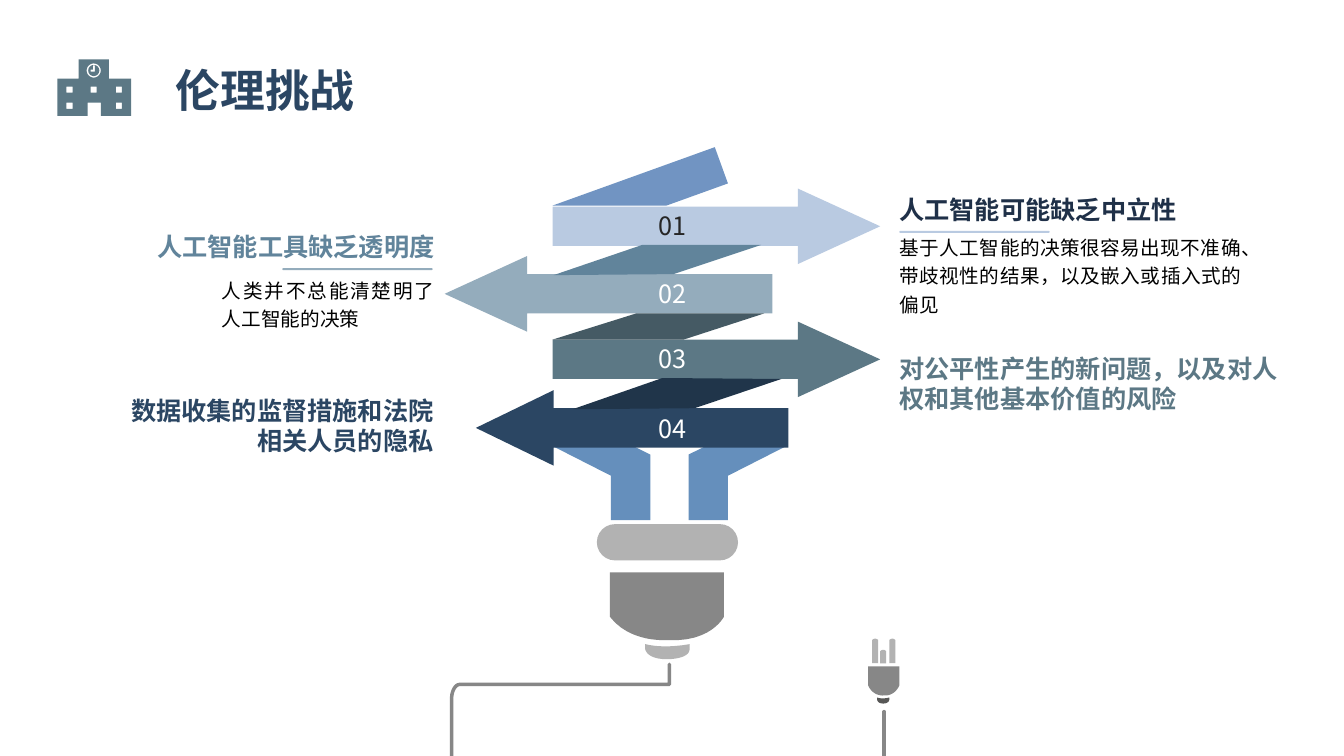
import pptx
import pptx.dml.color
import pptx.enum.shapes
import pptx.enum.text
import pptx.oxml
import pptx.oxml.ns
import pptx.util

Inches = pptx.util.Inches
Shape = pptx.enum.shapes.MSO_SHAPE
Align = pptx.enum.text.PP_ALIGN
Anchor = pptx.enum.text.MSO_ANCHOR

FONT = "Noto Sans CJK SC"
COLORS = {
    "navy": "2B4663", "dark navy": "20354A", "ink": "1F3048",
    "teal": "5C7885", "dark teal": "455A64", "steel": "61849B",
    "mist": "94ACBC", "ice": "B9CAE1", "blue": "7194C2", "leg": "658FBC",
    "silver": "B2B2B2", "grey": "878787", "dark grey": "575756",
    "black": "000000", "charcoal": "262626", "white": "FFFFFF",
}


def color(name):
    return pptx.dml.color.RGBColor.from_string(COLORS[name])


def write_text(shape, text, size=18, ink="black", bold=False, align=Align.LEFT,
               anchor=Anchor.TOP, spacing=None, insets=(0, 0, 0, 0)):
    """Fill a shape with one paragraph; insets run left, top, right, bottom."""
    frame = shape.text_frame
    frame.word_wrap = True
    frame.auto_size = pptx.enum.text.MSO_AUTO_SIZE.NONE
    frame.vertical_anchor = anchor
    (frame.margin_left, frame.margin_top,
     frame.margin_right, frame.margin_bottom) = map(Inches, insets)
    paragraph = frame.paragraphs[0]
    paragraph.alignment = align
    if spacing:
        paragraph.line_spacing = spacing
    run = paragraph.add_run()
    run.text = text
    run.font.size = pptx.util.Pt(size)
    run.font.bold = bold
    run.font.name = FONT
    run.font.color.rgb = color(ink)
    east_asian = pptx.oxml.parse_xml(
        f'<a:ea {pptx.oxml.ns.nsdecls("a")} typeface="{FONT}"/>')
    run.font._element.find(pptx.oxml.ns.qn("a:latin")).addnext(east_asian)


def bezier(start, curve, steps=12):
    """Points along a cubic curve given as (x1, y1, x2, y2, x3, y3)."""
    x1, y1, x2, y2, x3, y3 = curve
    points = []
    for step in range(1, steps + 1):
        t = step / steps
        u = 1 - t
        weights = (u ** 3, 3 * u * u * t, 3 * u * t * t, t ** 3)
        points.append((sum(w * x for w, x in zip(weights, (start[0], x1, x2, x3))),
                       sum(w * y for w, y in zip(weights, (start[1], y1, y2, y3)))))
    return points


def flatten(path):
    """Turn a path of points and cubic curves into points only."""
    points = [path[0]]
    for part in path[1:]:
        points += [part] if len(part) == 2 else bezier(points[-1], part)
    return points


def box(x, y, width, height):
    return [(x, y), (x + width, y), (x + width, y + height), (x, y + height)]


def circle(x, y, radius):
    k = 0.55 * radius
    left, right, top, bottom = x - radius, x + radius, y - radius, y + radius
    return [(x, top),
            (x - k, top, left, y - k, left, y),
            (left, y + k, x - k, bottom, x, bottom),
            (x + k, bottom, right, y + k, right, y),
            (right, y - k, x + k, top, x, top)]


class SlideBuilder:
    def __init__(self, presentation):
        self.slide = presentation.slides.add_slide(presentation.slide_layouts[5])
        self.shapes = self.slide.shapes

    def title(self, text, place, **style):
        shape = self.shapes.title
        shape.left, shape.top, shape.width, shape.height = map(Inches, place)
        write_text(shape, text, **style)

    def text(self, text, place, **style):
        write_text(self.shapes.add_textbox(*map(Inches, place)), text, **style)

    def preset(self, kind, place, fill, adjustments=()):
        shape = self.shapes.add_shape(kind, *map(Inches, place))
        for index, value in enumerate(adjustments):
            shape.adjustments[index] = value
        self.paint(shape, fill)

    def paint(self, shape, fill):
        shape.shadow.inherit = False
        shape.fill.solid()
        shape.fill.fore_color.rgb = color(fill)
        shape.line.fill.background()

    def freeform(self, paths, closed=True):
        builder = None
        for path in paths:
            points = [(Inches(x), Inches(y)) for x, y in flatten(path)]
            if builder is None:
                builder = self.shapes.build_freeform(*points[0], scale=1.0)
            else:
                builder.move_to(*points[0])
            builder.add_line_segments(points[1:], close=closed)
        return builder.convert_to_shape()

    def outline(self, fill, *paths):
        """Filled outline; paths after the first cut holes."""
        self.paint(self.freeform(paths), fill)

    def stroke(self, shape):
        shape.line.color.rgb = color("grey")
        shape.line.width = pptx.util.Pt(2.5)
        shape.line._get_or_add_ln().set("cap", "rnd")

    def cable(self, path):
        shape = self.freeform([path], closed=False)
        shape.shadow.inherit = False
        shape.fill.background()
        self.stroke(shape)

    def line(self, x1, y1, x2, y2):
        connector = self.shapes.add_connector(
            pptx.enum.shapes.MSO_CONNECTOR.STRAIGHT, *map(Inches, (x1, y1, x2, y2)))
        self.stroke(connector)
        connector._element.spPr.append(pptx.oxml.parse_xml(
            f'<a:effectLst {pptx.oxml.ns.nsdecls("a")}/>'))


def draw_bulb(builder):
    arrows = [
        (Shape.RIGHT_ARROW, (5.48, 1.87, 3.25, 0.75), "ice", 1.09),
        (Shape.RIGHT_ARROW, (5.48, 3.19, 3.25, 0.75), "teal", 1.09),
        (Shape.LEFT_ARROW, (4.41, 2.54, 3.25, 0.75), "mist", 1.09),
        (Shape.LEFT_ARROW, (4.72, 3.87, 3.1, 0.75), "navy", 1.03),
    ]
    folds = [
        ("blue", [(7.09, 1.46), (7.22, 1.82), (6.61, 2.04), (5.48, 2.04)]),
        ("steel", [(7.55, 2.43), (6.68, 2.72), (5.49, 2.73), (6.37, 2.43)]),
        ("dark teal", [(7.58, 3.11), (6.78, 3.37), (5.48, 3.37), (6.31, 3.11)]),
        ("dark navy", [(5.68, 4.06), (6.57, 3.75), (7.75, 3.76), (6.89, 4.05)]),
    ]
    left_leg = [(6.45, 4.51), (6.45, 5.16), (6.06, 5.16),
                (6.06, 4.72), (5.47, 4.42), (6.27, 4.42)]
    right_leg = [(13.28 - x, y) for x, y in left_leg]
    for leg in (left_leg, right_leg):
        builder.outline("leg", leg)
    for kind, place, fill, head in arrows:
        builder.preset(kind, place, fill, (0.52, head))
    for fill, path in folds:
        builder.outline(fill, path)

    builder.preset(Shape.ROUNDED_RECTANGLE, (5.92, 5.2, 1.4, 0.36), "silver", (0.5,))
    builder.outline("grey", [(7.18, 5.68), (7.18, 6.12),
                             (7.18, 6.12, 7.05, 6.38, 6.61, 6.35),
                             (6.61, 6.35, 6.25, 6.38, 6.05, 6.12), (6.05, 5.68)])
    builder.outline("silver", [(6.84, 6.44), (6.84, 6.54, 6.62, 6.54, 6.62, 6.54),
                               (6.41, 6.54, 6.4, 6.44, 6.4, 6.44), (6.4, 6.39),
                               (6.59, 6.44, 6.84, 6.39, 6.84, 6.39)])
    for index, top in enumerate((2.04, 2.71, 3.36, 4.05), start=1):
        builder.text(f"{index:02}", (6.36, top, 0.62, 0.4), align=Align.CENTER,
                     ink="charcoal" if index == 1 else "white",
                     insets=(0.1, 0.05, 0.1, 0.05))


def draw_plug(builder):
    builder.outline("grey", [(8.61, 6.8), (8.66, 6.91, 8.76, 6.9, 8.76, 6.9),
                             (8.88, 6.91, 8.92, 6.8, 8.92, 6.8),
                             (8.92, 6.61), (8.61, 6.61)])
    builder.outline("dark grey", [(8.7, 6.94), (8.7, 6.94, 8.7, 6.98, 8.76, 6.98),
                                  (8.82, 6.98, 8.82, 6.94, 8.82, 6.94), (8.82, 6.92),
                                  (8.82, 6.92, 8.75, 6.94, 8.7, 6.92)])
    for x, top in ((8.65, 6.35), (8.73, 6.46), (8.82, 6.35)):
        right = x + 0.06
        builder.outline("silver", [(x, 6.58), (x, top),
                                   (x, top, x + 0.03, top - 0.03, right, top),
                                   (right, 6.58)])
    builder.cable([(6.64, 6.59), (6.64, 6.79), (4.56, 6.79),
                   (4.52, 6.79, 4.48, 6.85, 4.48, 6.93), (4.48, 7.5)])
    builder.line(8.77, 7.06, 8.77, 7.5)


def draw_school(builder):
    walls = [(1.08, 0.78), (1.08, 0.59), (0.78, 0.59), (0.78, 0.78), (0.57, 0.78),
             (0.57, 1.15), (0.87, 1.15), (0.87, 1.02), (1, 1.02), (1, 1.15),
             (1.3, 1.15), (1.3, 0.78)]
    windows = [box(x, y, 0.06, 0.06) for x, y in
               ((0.66, 0.86), (0.9, 0.86), (1.15, 0.86), (0.66, 1.02), (1.15, 1.02))]
    hands = [(0.94, 0.65), (0.94, 0.71), (0.9, 0.71),
             (0.9, 0.69), (0.92, 0.69), (0.92, 0.65)]
    builder.outline("teal", walls, *windows, circle(0.93, 0.7, 0.07))
    builder.outline("teal", circle(0.93, 0.7, 0.055), hands)


def main():
    presentation = pptx.Presentation()
    presentation.slide_width = Inches(13.33)
    presentation.slide_height = Inches(7.5)
    builder = SlideBuilder(presentation)
    builder.title("伦理挑战", (1.64, 0.47, 4.28, 0.75), size=32, ink="navy",
                  bold=True, spacing=1.2, insets=(0.1, 0.05, 0.1, 0.05))
    draw_bulb(builder)
    draw_plug(builder)
    draw_school(builder)

    headings = [
        ("数据收集的监督措施和法院相关人员的隐私", (1.08, 3.92, 3.22, 2.42), "navy", Align.RIGHT),
        ("对公平性产生的新问题，以及对人权和其他基本价值的风险", (8.92, 3.5, 3.78, 1.39), "teal", Align.LEFT),
        ("人工智能可能缺乏中立性", (8.92, 1.93, 3.51, 0.35), "ink", Align.LEFT),
        ("人工智能工具缺乏透明度", (1.21, 2.29, 3.1, 0.3), "steel", Align.RIGHT),
    ]
    details = [
        ("基于人工智能的决策很容易出现不准确、带歧视性的结果，以及嵌入或插入式的偏见", (8.92, 2.29, 3.39, 0.85)),
        ("人类并不总能清楚明了人工智能的决策", (2.2, 2.72, 2.11, 0.56)),
    ]
    for text, place, ink, align in headings:
        builder.text(text, place, ink=ink, bold=True, align=align)
    for text, place in details:
        builder.text(text, place, size=14, align=Align.JUSTIFY,
                     anchor=Anchor.MIDDLE, spacing=1.2)
    for place, fill in (((8.92, 2.29, 1.49, 0.02), "ice"), ((2.8, 2.66, 1.49, 0.02), "mist")):
        builder.preset(Shape.ROUNDED_RECTANGLE, place, fill, (0.5,))
    presentation.save("out.pptx")


if __name__ == "__main__":
    main()
